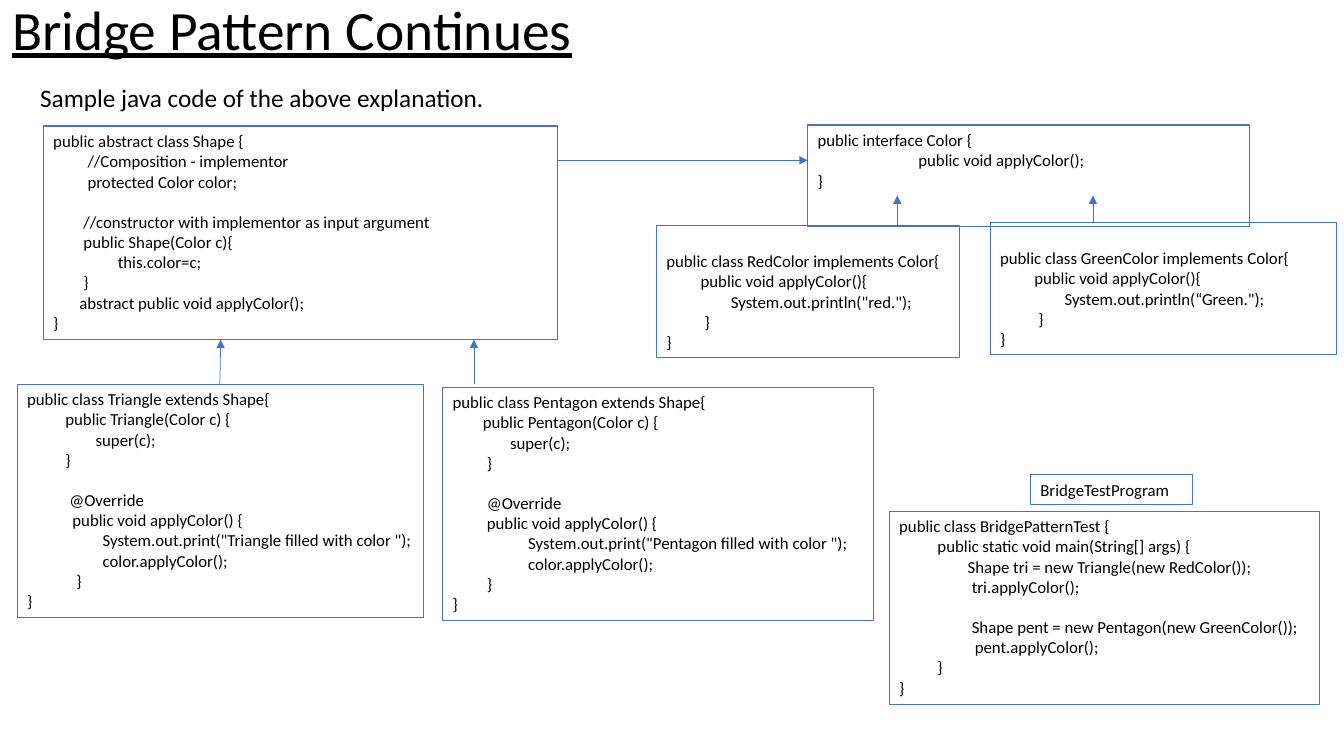
"""Build the Bridge Pattern slide: Java code boxes joined by arrows."""
from dataclasses import dataclass
from typing import NamedTuple

from lxml import etree
from pptx import Presentation
from pptx.dml.color import RGBColor
from pptx.enum.shapes import MSO_CONNECTOR, MSO_SHAPE
from pptx.enum.text import MSO_ANCHOR, MSO_AUTO_SIZE, PP_ALIGN
from pptx.oxml.ns import qn
from pptx.slide import Slide
from pptx.text.text import TextFrame, _Paragraph
from pptx.util import Inches, Pt

RECTANGLE = MSO_SHAPE.RECTANGLE
STRAIGHT = MSO_CONNECTOR.STRAIGHT
TOP, MIDDLE = MSO_ANCHOR.TOP, MSO_ANCHOR.MIDDLE
LEFT = PP_ALIGN.LEFT
NO_AUTOFIT = MSO_AUTO_SIZE.NONE


@dataclass(frozen=True)
class Theme:
    font: str = "Calibri"
    ink: RGBColor = RGBColor(0x00, 0x00, 0x00)
    accent: RGBColor = RGBColor(0x44, 0x72, 0xC4)
    title_size: float = 39.6
    subtitle_size: float = 18
    code_size: float = 12
    code_line: float = 14.4
    border: float = 0.75
    arrow: float = 0.5


class Line(NamedTuple):
    text: str
    indent: float = 0
    after_gap: bool = False


class CodeBox(NamedTuple):
    left: float
    top: float
    width: float
    height: float
    lines: list[Line]
    top_inset: float = 0.05


class Arrow(NamedTuple):
    x1: float
    y1: float
    x2: float
    y2: float


THEME = Theme()


def format_runs(paragraph: _Paragraph, size: float, underline: bool = False) -> None:
    paragraph.alignment = LEFT
    for run in paragraph.runs:
        run.font.name = THEME.font
        run.font.size = Pt(size)
        run.font.color.rgb = THEME.ink
        if underline:
            run.font.underline = True


def fill_code(frame: TextFrame, lines: list[Line]) -> None:
    frame.text = "\n".join(line.text for line in lines)
    for paragraph, line in zip(frame.paragraphs, lines):
        format_runs(paragraph, THEME.code_size)
        properties = paragraph._p.get_or_add_pPr()
        properties.set("marL", str(Inches(line.indent)))
        properties.set("indent", "0")
        if line.after_gap:
            paragraph.space_before = Pt(THEME.code_line)


def draw_code_box(slide: Slide, box: CodeBox) -> None:
    outline = slide.shapes.add_shape(
        RECTANGLE, Inches(box.left), Inches(box.top), Inches(box.width), Inches(box.height))
    outline.shadow.inherit = False
    outline.fill.background()
    outline.line.color.rgb = THEME.accent
    outline.line.width = Pt(THEME.border)
    frame = outline.text_frame
    frame.word_wrap = True
    frame.vertical_anchor = TOP
    frame.margin_top = Inches(box.top_inset)
    fill_code(frame, box.lines)


def draw_arrow(slide: Slide, arrow: Arrow) -> None:
    connector = slide.shapes.add_connector(
        STRAIGHT, Inches(arrow.x1), Inches(arrow.y1), Inches(arrow.x2), Inches(arrow.y2))
    connector.line.color.rgb = THEME.accent
    connector.line.width = Pt(THEME.arrow)
    etree.SubElement(connector.line._get_or_add_ln(), qn("a:tailEnd"), type="triangle")
    etree.SubElement(connector._element.spPr, qn("a:effectLst"))


def color_class(name: str, printed: str) -> list[Line]:
    return [
        Line(f"public class {name} implements Color{{"),
        Line("public void applyColor(){", 0.34),
        Line(f"System.out.println({printed});", 0.64),
        Line("}", 0.38),
        Line("}"),
    ]


def shape_class(name: str, indents: list[float]) -> list[Line]:
    constructor, call, close, override, method, body, end = indents
    return [
        Line(f"public class {name} extends Shape{{"),
        Line(f"public {name}(Color c) {{", constructor),
        Line("super(c);", call),
        Line("}", close),
        Line("@Override", override, after_gap=True),
        Line("public void applyColor() {", method),
        Line(f'System.out.print("{name} filled with color ");', body),
        Line("color.applyColor();", body),
        Line("}", end),
        Line("}"),
    ]


COLOR_INTERFACE = [
    Line("public interface Color {"),
    Line("public void applyColor();", 1),
    Line("}"),
]
ABSTRACT_SHAPE = [
    Line("public abstract class Shape {"),
    Line("//Composition - implementor", 0.34),
    Line("protected Color color;", 0.34),
    Line("//constructor with implementor as input argument", 0.3, after_gap=True),
    Line("public Shape(Color c){", 0.3),
    Line("this.color=c;", 0.64),
    Line("}", 0.3),
    Line("abstract public void applyColor();", 0.26),
    Line("}"),
]
BRIDGE_TEST = [
    Line("public class BridgePatternTest {"),
    Line("public static void main(String[] args) {", 0.38),
    Line("Shape tri = new Triangle(new RedColor());", 0.68),
    Line("tri.applyColor();", 0.72),
    Line("Shape pent = new Pentagon(new GreenColor());", 0.72, after_gap=True),
    Line("pent.applyColor();", 0.75),
    Line("}", 0.38),
    Line("}"),
]
TRIANGLE = shape_class("Triangle", [0.38, 0.68, 0.38, 0.42, 0.45, 0.75, 0.49])
PENTAGON = shape_class("Pentagon", [0.3, 0.57, 0.34, 0.34, 0.34, 0.75, 0.34])

CODE_BOXES = [
    CodeBox(8.01, 1.24, 4.38, 1.01, COLOR_INTERFACE),
    CodeBox(0.43, 1.25, 5.1, 2.12, ABSTRACT_SHAPE),
    CodeBox(6.51, 2.24, 3.01, 1.31, color_class("RedColor", '"red."'), 0.25),
    CodeBox(9.82, 2.21, 3.44, 1.31, color_class("GreenColor", '“Green."'), 0.25),
    CodeBox(0.17, 3.81, 4.03, 2.32, TRIANGLE),
    CodeBox(4.39, 3.84, 4.27, 2.32, PENTAGON),
    CodeBox(8.82, 5.07, 4.27, 1.92, BRIDGE_TEST),
    CodeBox(10.22, 4.71, 1.61, 0.3, [Line("BridgeTestProgram")]),
]
ARROWS = [
    Arrow(2.18, 3.81, 2.19, 3.37),
    Arrow(4.7, 3.81, 4.7, 3.37),
    Arrow(8.9, 2.24, 8.9, 1.94),
    Arrow(10.84, 2.21, 10.84, 1.94),
    Arrow(5.53, 1.59, 8.01, 1.59),
]

presentation = Presentation()
presentation.slide_width, presentation.slide_height = Inches(13.33), Inches(7.5)
bridge_slide = presentation.slides.add_slide(presentation.slide_layouts[5])

heading = bridge_slide.shapes.title
heading.left, heading.top = Inches(0.02), Inches(0.04)
heading.width, heading.height = Inches(7.55), Inches(0.56)
heading.text_frame.text = "Bridge Pattern Continues"
heading.text_frame.auto_size = NO_AUTOFIT
heading.text_frame.vertical_anchor = MIDDLE
heading.text_frame.paragraphs[0].line_spacing = 0.9
format_runs(heading.text_frame.paragraphs[0], THEME.title_size, underline=True)

explanation = bridge_slide.shapes.add_textbox(Inches(0.3), Inches(0.77), Inches(5.02), Inches(0.4))
explanation.text_frame.word_wrap = True
explanation.text_frame.text = "Sample java code of the above explanation."
format_runs(explanation.text_frame.paragraphs[0], THEME.subtitle_size)

for code_box in CODE_BOXES:
    draw_code_box(bridge_slide, code_box)
for relation in ARROWS:
    draw_arrow(bridge_slide, relation)

presentation.save("out.pptx")
